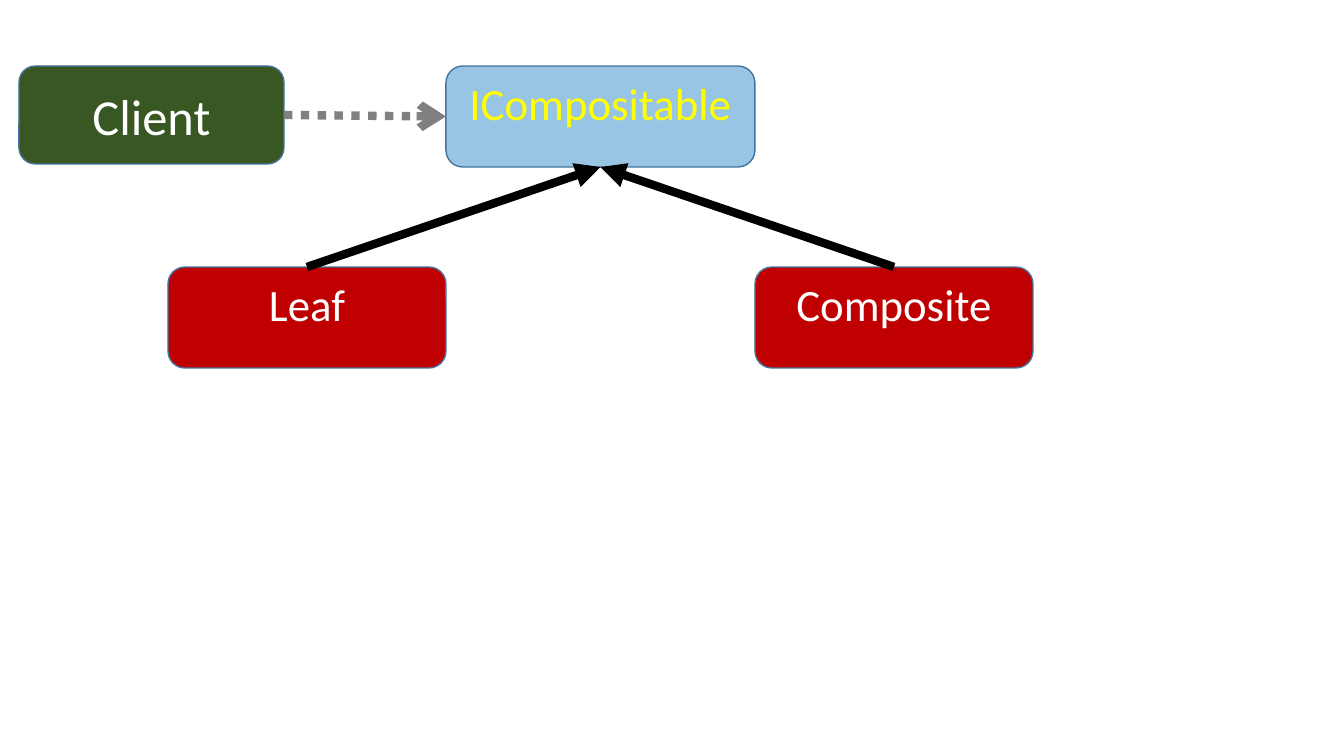
from pptx import Presentation, util as u
from pptx.dml.color import RGBColor
from pptx.enum import dml, shapes, text
from pptx.oxml.ns import qn
from lxml import etree

SCALE = 914400 / 100.8
TOP, LEFT, BOTTOM, RIGHT = range(4)  # connection sites of a rounded box


def px(length):
    return u.Emu(round(length * SCALE))


def colour(hex_code):
    return RGBColor.from_string(hex_code)


def add_class(slide, name, box, fill, ink="FFFFFF", size=32,
              anchor=text.MSO_ANCHOR.TOP, opacity=None):
    node = slide.shapes.add_shape(shapes.MSO_SHAPE.ROUNDED_RECTANGLE, *map(px, box))
    node.shadow.inherit = False
    node.fill.solid()
    node.fill.fore_color.rgb = colour(fill)
    if opacity is not None:
        tint = node.fill._xPr.find(qn("a:solidFill"))[0]
        etree.SubElement(tint, qn("a:alpha"), val=str(opacity * 1000))
    node.line.color.rgb = colour("43739E")
    node.line.width = u.Pt(1)
    frame = node.text_frame
    frame.word_wrap = True
    frame.vertical_anchor = anchor
    label = frame.paragraphs[0]
    label.alignment = text.PP_ALIGN.CENTER
    run = label.add_run()
    run.text = name
    run.font.name = "Calibri"
    run.font.size = u.Pt(size)
    run.font.color.rgb = colour(ink)
    return node


def add_relation(slide, source, source_site, target, target_site,
                 ink, head, dash=None):
    relation = slide.shapes.add_connector(shapes.MSO_CONNECTOR.STRAIGHT, 0, 0, 0, 0)
    relation.begin_connect(source, source_site)
    relation.end_connect(target, target_site)
    relation.line.color.rgb = colour(ink)
    relation.line.width = u.Pt(6)
    if dash is not None:
        relation.line.dash_style = dash
    etree.SubElement(relation.line._get_or_add_ln(), qn("a:tailEnd"), type=head)
    etree.SubElement(relation._element.spPr, qn("a:effectLst"))


def add_composite_pattern(slide, left, top, width, height):
    """Client and interface on the upper row, implementations below."""
    row_height, child_width, client_width = 101, 278, 265
    child_top = top + height - row_height
    composite_left = left + width - child_width
    interface_width = 309
    interface_left = composite_left - interface_width
    leaf_left = interface_left - child_width

    # Classes
    leaf = add_class(slide, "Leaf",
                     (leaf_left, child_top, child_width, row_height), "C00000")
    interface = add_class(slide, "ICompositable",
                          (interface_left, top, interface_width, row_height),
                          "0070C0", ink="FFFF00", opacity=40)
    composite = add_class(slide, "Composite",
                          (composite_left, child_top, child_width, row_height), "C00000")
    client = add_class(slide, "Client", (left, top, client_width, 98), "385723",
                       size=36, anchor=text.MSO_ANCHOR.MIDDLE)

    # Inheritance and use
    for child in (leaf, composite):
        add_relation(slide, child, TOP, interface, BOTTOM, "000000", "triangle")
    add_relation(slide, client, RIGHT, interface, LEFT, "808080", "arrow",
                 dml.MSO_LINE.ROUND_DOT)


deck = Presentation()
deck.slide_width, deck.slide_height = px(1344), px(756)
pattern_slide = deck.slides.add_slide(deck.slide_layouts[6])
add_composite_pattern(pattern_slide, 19, 66, 1014, 302)
deck.save("out.pptx")
